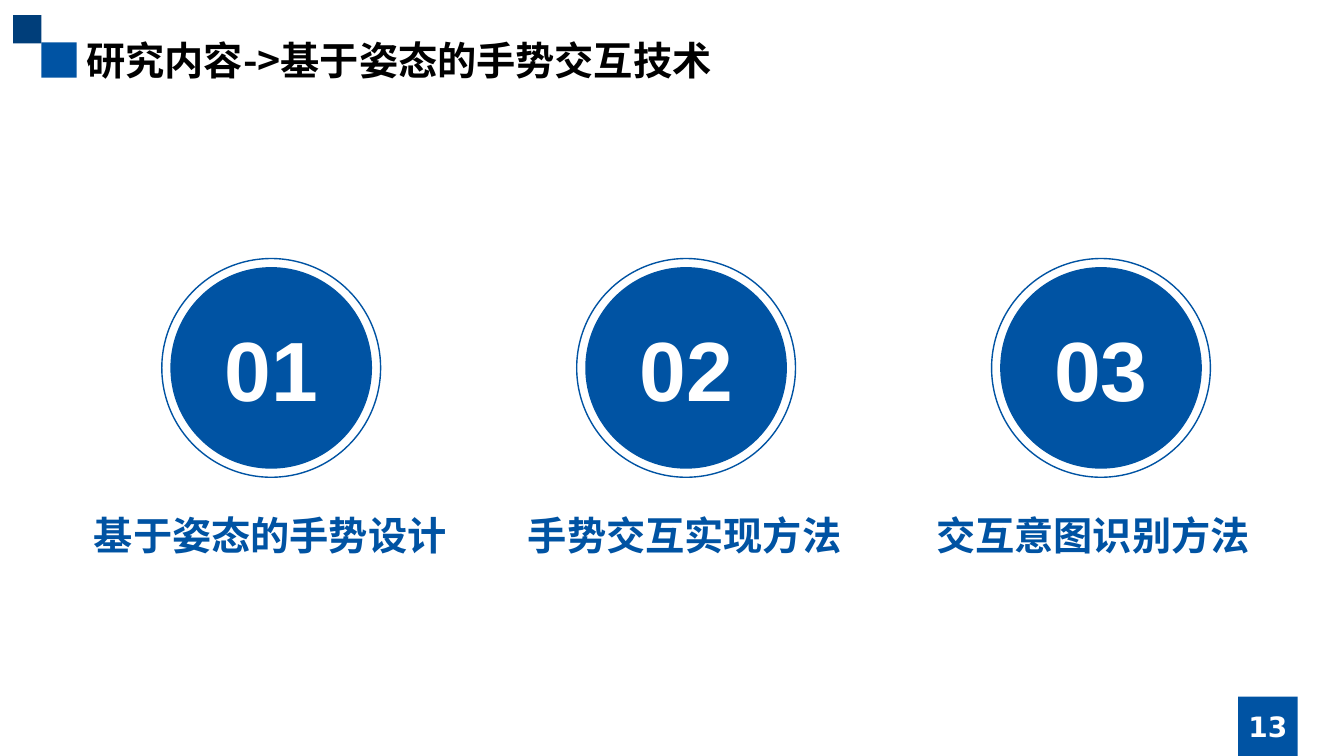
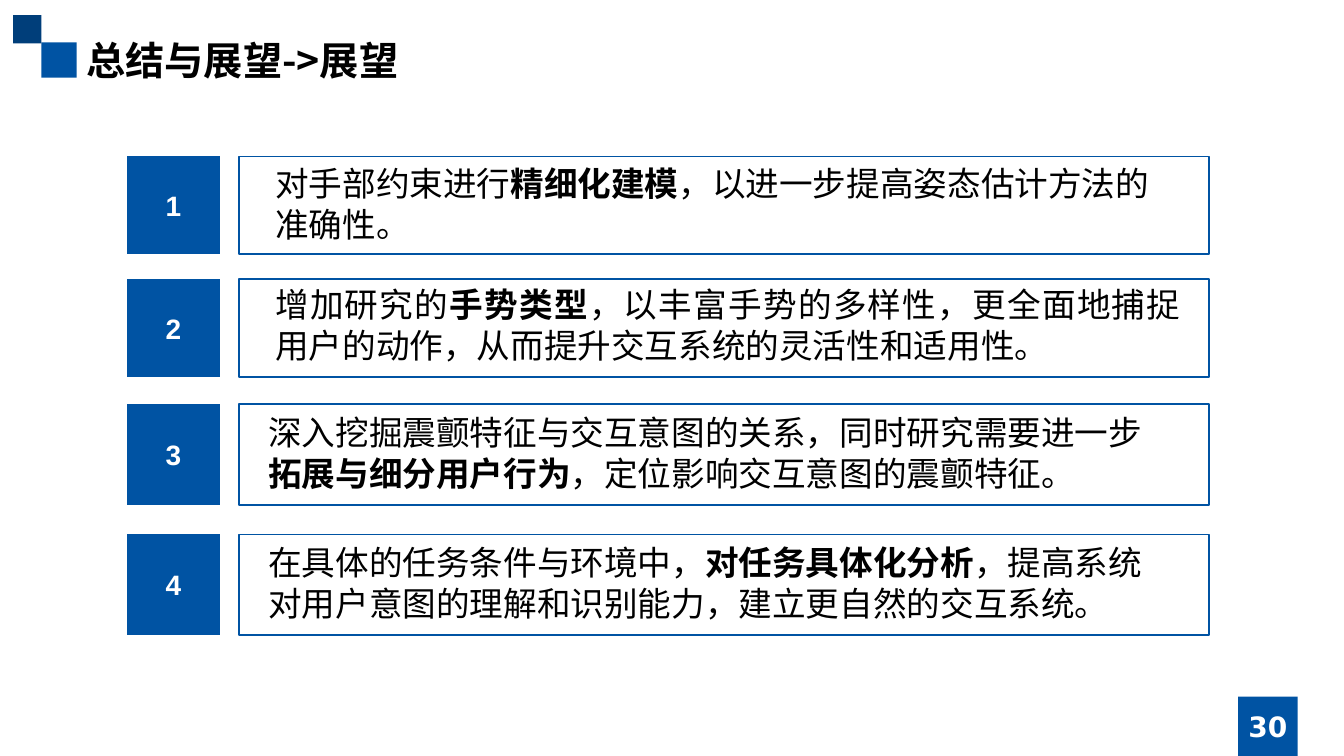
from dataclasses import dataclass

import pptx
import pptx.util
from lxml import etree
from pptx.dml.color import RGBColor
from pptx.enum.shapes import MSO_SHAPE
from pptx.enum.text import MSO_ANCHOR, PP_ALIGN
from pptx.oxml.ns import qn
from pptx.util import Inches


@dataclass(frozen=True)
class Theme:
    blue: str = "0053A3"
    navy: str = "003E7A"
    white: str = "FFFFFF"
    black: str = "000000"
    cjk: str = "Noto Sans CJK SC"
    latin: str = "Arial"
    page_font: str = "DejaVu Sans"
    number_size: int = 60
    title_size: int = 28
    body_size: int = 24
    label_size: int = 20


THEME = Theme()

TOPICS_TITLE, TOPICS_PAGE = "研究内容->基于姿态的手势交互技术", 13
# Caption, caption centre
TOPICS = [
    ("基于姿态的手势设计", 2.68),
    ("手势交互实现方法", 6.79),
    ("交互意图识别方法", 10.84),
]

OUTLOOK_TITLE, OUTLOOK_PAGE = "总结与展望->展望", 30
# Top, height, text insets (left, top, right), alignment, (plain, bold, plain)
OUTLOOK = [
    (1.55, 0.97, (0.36, 0.07, 0.44), PP_ALIGN.LEFT,
     ("对手部约束进行", "精细化建模", "，以进一步提高姿态估计方法的准确性。")),
    (2.77, 0.97, (0.36, 0.05, 0.28), PP_ALIGN.JUSTIFY,
     ("增加研究的", "手势类型",
      "，以丰富手势的多样性，更全面地捕捉用户的动作，从而提升交互系统的灵活性和适用性。")),
    (4.01, 1.0, (0.29, 0.08, 0.51), PP_ALIGN.LEFT,
     ("深入挖掘震颤特征与交互意图的关系，同时研究需要进一步", "拓展与细分用户行为",
      "，定位影响交互意图的震颤特征。")),
    (5.3, 1.0, (0.29, 0.08, 0.51), PP_ALIGN.LEFT,
     ("在具体的任务条件与环境中，", "对任务具体化分析",
      "，提高系统对用户意图的理解和识别能力，建立更自然的交互系统。")),
]


def rgb(color):
    return RGBColor.from_string(color)


def add_shape(page, kind, at, fill=None, line=None):
    shape = page.shapes.add_shape(kind, *map(Inches, at))
    shape.shadow.inherit = False
    if fill:
        shape.fill.solid()
        shape.fill.fore_color.rgb = rgb(fill)
    else:
        shape.fill.background()
    if line:
        shape.line.color.rgb = rgb(line)
        shape.line.width = pptx.util.Pt(1)
    else:
        shape.line.fill.background()
    return shape


def set_font(font, size, color, name, bold):
    """Set the font, with the theme's typeface for East Asian text."""
    font.size, font.bold, font.name = pptx.util.Pt(size), bold, name
    font.color.rgb = rgb(color)
    latin = font._element.find(qn("a:latin")) if hasattr(font, "_element") else font._rPr.find(qn("a:latin"))
    east_asian = etree.Element(qn("a:ea"))
    east_asian.set("typeface", THEME.cjk)
    latin.addnext(east_asian)


def write(shape, pieces, size, color, name, align=PP_ALIGN.CENTER,
          anchor=MSO_ANCHOR.MIDDLE, insets=(0, 0, 0)):
    """Write one paragraph; pieces are (text, bold) pairs."""
    frame = shape.text_frame
    frame.word_wrap = True
    frame.vertical_anchor = anchor
    frame.margin_left, frame.margin_top, frame.margin_right = map(Inches, insets)
    frame.margin_bottom = 0
    para = frame.paragraphs[0]
    para.alignment = align
    for text, bold in pieces:
        span = para.add_run()
        span.text = text
        if len(pieces) > 1:
            span.font.bold = bold
    set_font(para.font, size, color, name, len(pieces) == 1)


def add_text(page, at, text, color, name, align):
    box = page.shapes.add_textbox(*map(Inches, at))
    write(box, [(text, True)], THEME.title_size, color, name, align,
          MSO_ANCHOR.TOP, (0.1, 0.05, 0.1))


def add_page(deck, title, number):
    page = deck.slides.add_slide(deck.slide_layouts[6])
    add_shape(page, MSO_SHAPE.RECTANGLE, (0.41, 0.42, 0.35, 0.35), THEME.blue)
    add_shape(page, MSO_SHAPE.RECTANGLE, (0.13, 0.15, 0.28, 0.28), THEME.navy)
    add_text(page, (0.76, 0.31, 11.81, 0.57), title, THEME.black, THEME.cjk,
             PP_ALIGN.LEFT)
    corner = add_shape(page, MSO_SHAPE.RECTANGLE, (12.28, 6.91, 0.59, 0.59), THEME.blue)
    write(corner, [(str(number), True)], THEME.label_size, THEME.white, THEME.page_font)
    return page


def add_topics(deck):
    page = add_page(deck, TOPICS_TITLE, TOPICS_PAGE)
    first_centre, pitch, middle = 2.69, 4.115, 3.65
    disc_size, ring_size, caption_width = 2.0, 2.17, 3.83
    for index, (caption, caption_centre) in enumerate(TOPICS):
        centre = first_centre + index * pitch

        def circle(size, **style):
            at = (centre - size / 2, middle - size / 2, size, size)
            return add_shape(page, MSO_SHAPE.OVAL, at, **style)

        disc = circle(disc_size, fill=THEME.blue)
        write(disc, [(f"{index + 1:02}", True)], THEME.number_size, THEME.white, THEME.latin)
        circle(ring_size, line=THEME.blue)
        add_text(page, (caption_centre - caption_width / 2, 5.02, caption_width, 0.57),
                 caption, THEME.blue, THEME.latin, PP_ALIGN.CENTER)


def add_outlook(deck):
    page = add_page(deck, OUTLOOK_TITLE, OUTLOOK_PAGE)
    for number, (top, height, insets, align, texts) in enumerate(OUTLOOK, 1):
        panel = add_shape(page, MSO_SHAPE.RECTANGLE, (2.37, top, 9.62, height),
                          THEME.white, THEME.blue)
        write(panel, list(zip(texts, (False, True, False))), THEME.body_size,
              THEME.black, THEME.cjk, align, MSO_ANCHOR.TOP, insets)
        badge = add_shape(page, MSO_SHAPE.RECTANGLE, (1.26, top, 0.92, height), THEME.blue)
        write(badge, [(str(number), True)], THEME.label_size, THEME.white, THEME.latin)


def main():
    deck = pptx.Presentation()
    deck.slide_width, deck.slide_height = Inches(13.33), Inches(7.5)
    add_topics(deck)
    add_outlook(deck)
    deck.save("out.pptx")


if __name__ == "__main__":
    main()
